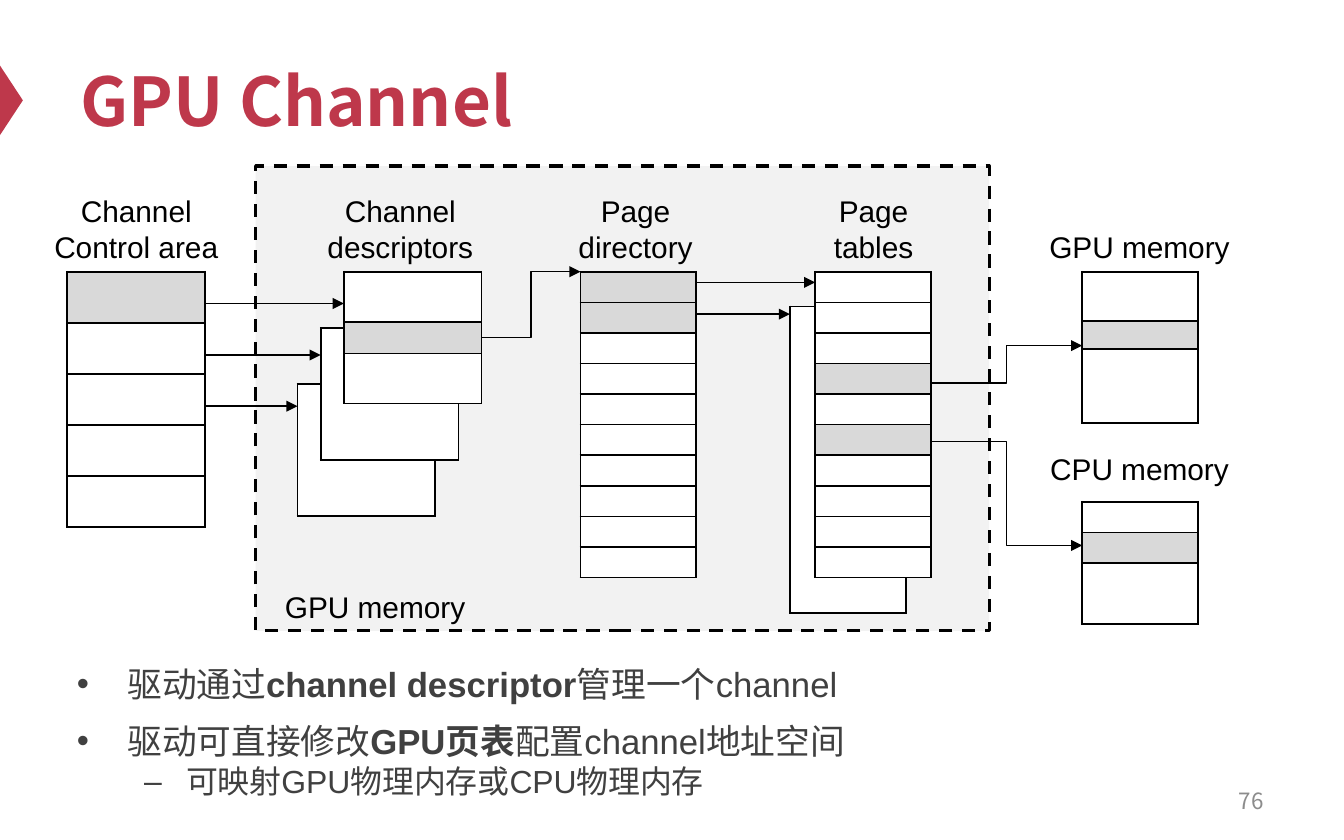
from lxml import etree
from pptx import Presentation, util as u
from pptx.dml.color import RGBColor
from pptx.enum import dml, shapes, text
from pptx.oxml import parse_xml
from pptx.oxml.ns import nsdecls, qn

Pt = u.Pt
BLACK, WHITE, GREY, RED, DARK = "000000", "FFFFFF", "D9D9D9", "BE384B", "404040"
CJK = "Noto Sans CJK SC"
color = RGBColor.from_string

presentation = Presentation()
presentation.slide_width, presentation.slide_height = Pt(720), Pt(450)
slide = presentation.slides.add_slide(presentation.slide_layouts[1])


def add_run(paragraph, words, size, hex_color, font="Arial", bold=False):
    run = paragraph.add_run()
    run.text = words
    run.font.size, run.font.name, run.font.bold = Pt(size), font, bold
    run.font.color.rgb = color(hex_color)
    etree.SubElement(run._r.get_or_add_rPr(), qn("a:ea")).set("typeface", CJK)


def add_memory(left, top, width, heights, shaded=()):
    """Draw a one-column table of memory cells, with the shaded rows in grey."""
    frame = slide.shapes.add_table(len(heights), 1, Pt(left), Pt(top), Pt(width), Pt(sum(heights)))
    table = frame.table
    table.first_row = table.horz_banding = False
    for index, height in enumerate(heights):
        table.rows[index].height = Pt(height)
        cell = table.cell(index, 0)
        cell.margin_top = cell.margin_bottom = 0
        # A small end mark keeps empty rows from growing
        end_mark = etree.SubElement(cell.text_frame.paragraphs[0]._p, qn("a:endParaRPr"))
        end_mark.set("sz", "600")
        properties = cell._tc.get_or_add_tcPr()
        for side in ("lnL", "lnR", "lnT", "lnB"):
            properties.append(parse_xml(
                f'<a:{side} {nsdecls("a")} w="12700"><a:solidFill>'
                f'<a:srgbClr val="{BLACK}"/></a:solidFill></a:{side}>'))
        cell.fill.solid()
        cell.fill.fore_color.rgb = color(GREY if index in shaded else WHITE)


# Title with its marker at the slide edge
marker = slide.shapes.add_shape(
    shapes.MSO_SHAPE.ISOSCELES_TRIANGLE, Pt(-13), Pt(47.5), Pt(38), Pt(12.5))
marker.rotation = 90
marker.shadow.inherit = False
marker.fill.solid()
marker.fill.fore_color.rgb = color(RED)
marker.line.fill.background()

title = slide.shapes.title
title.left, title.top, title.width, title.height = Pt(36), Pt(18), Pt(648), Pt(70.5)
title.text_frame.vertical_anchor = text.MSO_ANCHOR.MIDDLE
title.text_frame.auto_size = text.MSO_AUTO_SIZE.NONE
paragraph = title.text_frame.paragraphs[0]
paragraph.alignment = text.PP_ALIGN.LEFT
add_run(paragraph, "GPU Channel", 36, RED, CJK, True)

# Bullet list: level, size, space before, left margin, hanging indent, (words, bold) runs
bullets = [
    (0, 18.6, 12, 27, 27,
     [("驱动通过", False), ("channel descriptor", True), ("管理一个channel", False)]),
    (0, 18.6, 12, 27, 27,
     [("驱动可直接修改", False), ("GPU页表", True), ("配置channel地址空间", False)]),
    (1, 17.1, 3.4, 58.5, 22.5, [("可映射GPU物理内存或CPU物理内存", False)]),
]
body = slide.placeholders[1]
body.left, body.top, body.width, body.height = Pt(34), Pt(355), Pt(648), Pt(91.5)
body.text_frame.auto_size = text.MSO_AUTO_SIZE.NONE
for index, (level, size, before, margin, hanging, runs) in enumerate(bullets):
    paragraph = body.text_frame.paragraphs[0] if index == 0 else body.text_frame.add_paragraph()
    paragraph.level = level
    paragraph.space_before = Pt(before)
    paragraph.line_spacing = 0.84
    properties = paragraph._p.get_or_add_pPr()
    properties.set("marL", str(Pt(margin)))
    properties.set("indent", str(-Pt(hanging)))
    bullet_color = parse_xml(
        f'<a:buClr {nsdecls("a")}><a:srgbClr val="{DARK}"/></a:buClr>')
    properties.append(bullet_color)
    for words, bold in runs:
        add_run(paragraph, words, size, DARK, bold=bold)

# GPU memory region
region = slide.shapes.add_shape(
    shapes.MSO_SHAPE.RECTANGLE, Pt(137), Pt(89), Pt(393), Pt(249))
region.shadow.inherit = False
region.fill.solid()
region.fill.fore_color.rgb = color("F2F2F2")
region.line.color.rgb = color(BLACK)
region.line.width = Pt(1.75)
region.line.dash_style = dml.MSO_LINE.DASH

# Memory tables, from back to front
TOP, WIDE, NARROW = 145.6, 73.8, 62
PAGE_ROWS = [16.4] * 10
add_memory(36, TOP, WIDE, [27.35] * 5, [0])
for step in (2, 1):
    add_memory(184.2 - 12.4 * step, TOP + 30 * step, WIDE, [70.7])
add_memory(184.2, TOP, WIDE, [26.8, 17.1, 26.8], [1])
add_memory(311, TOP, NARROW, PAGE_ROWS, [0, 1])
add_memory(423.2, 164.2, NARROW, [164.2])
add_memory(436.7, TOP, NARROW, PAGE_ROWS, [3, 5])
add_memory(579.8, TOP, NARROW, [26.3, 15, 39.7], [1])
add_memory(579.8, 268.8, NARROW, [16.4, 16.4, 32.8], [1])

# Arrows: begin x, begin y, end x, end y
arrows = [
    (109.8, 162.6, 184.2, 162.6), (109.8, 190.2, 171.8, 190.2), (109.8, 217.6, 159.4, 217.6),
    (258, 181, 311, 145.6), (373, 151.3, 436.7, 151.3), (373, 168.3, 423.2, 168.3),
    (498.5, 205.3, 579.8, 185.2), (498.5, 236.4, 579.8, 292.2),
]
for x1, y1, x2, y2 in arrows:
    kind = shapes.MSO_CONNECTOR.STRAIGHT if y1 == y2 else shapes.MSO_CONNECTOR.ELBOW
    arrow = slide.shapes.add_connector(kind, Pt(x1), Pt(y1), Pt(x2), Pt(y2))
    arrow.line.color.rgb = color(BLACK)
    arrow.line.width = Pt(0.75)
    etree.SubElement(arrow.line._get_or_add_ln(), qn("a:tailEnd")).set("type", "triangle")
    etree.SubElement(arrow._element.spPr, qn("a:effectLst"))

# Labels and page number: left, top, width, height, lines, size, colour, font, alignment
CENTER, RIGHT = text.PP_ALIGN.CENTER, text.PP_ALIGN.RIGHT
labels = [
    (left, top, 128, 19.2 * len(lines) + 7.4, lines, 16, BLACK, "Arial", CENTER)
    for left, top, lines in [
        (9, 99.5, ["Channel", "Control area"]),
        (150.5, 99.5, ["Channel", "descriptors"]),
        (276.5, 99.5, ["Page", "directory"]),
        (404, 99.5, ["Page", "tables"]),
        (546.5, 119, ["GPU memory"]),
        (546.5, 237.8, ["CPU memory"]),
        (137, 311.8, ["GPU memory"]),
    ]
]
labels.append((516, 417, 168, 24, ["76"], 12, "8C8C8C", CJK, RIGHT))
for left, top, width, height, lines, size, hex_color, font, alignment in labels:
    label = slide.shapes.add_textbox(Pt(left), Pt(top), Pt(width), Pt(height))
    frame = label.text_frame
    frame.word_wrap = True
    frame.vertical_anchor = text.MSO_ANCHOR.MIDDLE
    for index, line in enumerate(lines):
        paragraph = frame.paragraphs[0] if index == 0 else frame.add_paragraph()
        paragraph.alignment = alignment
        add_run(paragraph, line, size, hex_color, font)

presentation.save("out.pptx")
